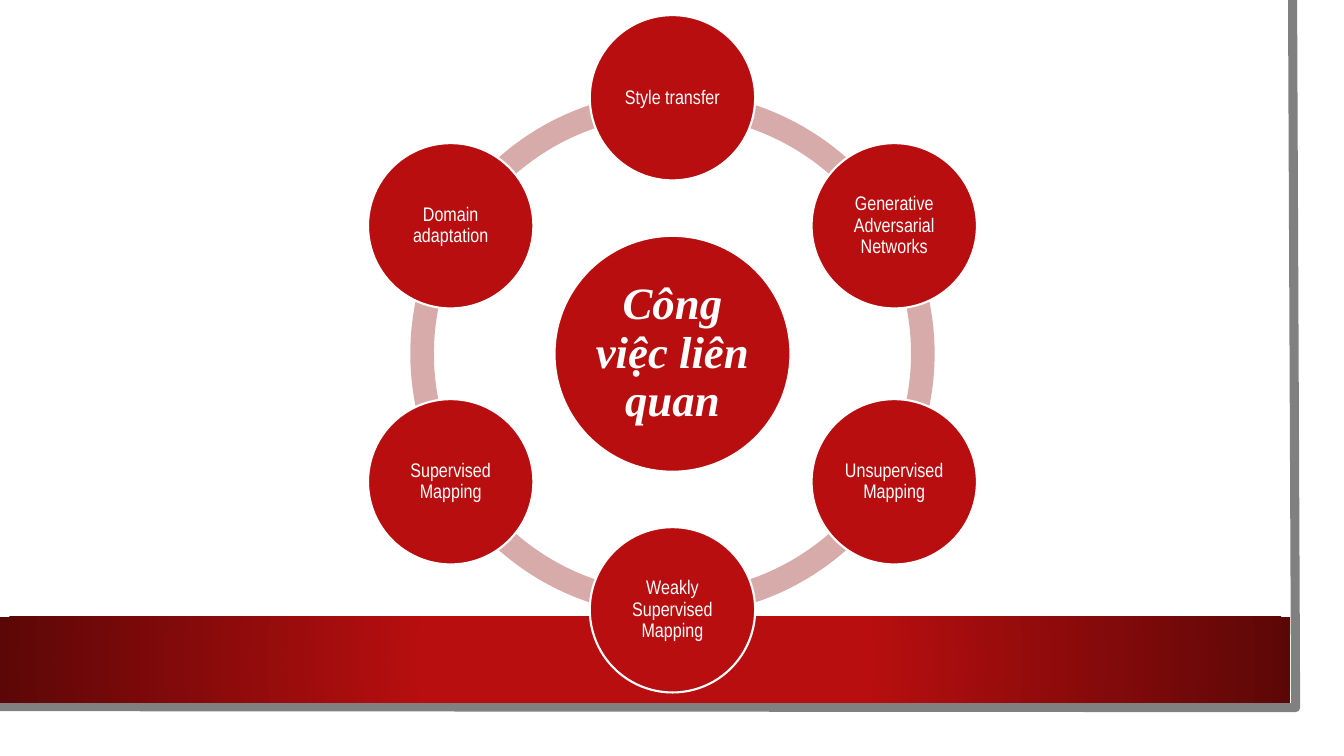
from dataclasses import dataclass
from math import cos, radians, sin

from lxml.etree import SubElement
from pptx import Presentation
from pptx.dml.color import RGBColor as RGB
from pptx.enum.shapes import MSO_SHAPE as Preset
from pptx.enum.text import MSO_ANCHOR as Anchor, MSO_AUTO_SIZE as AutoSize, PP_ALIGN as Align
from pptx.oxml.ns import qn
from pptx.util import Inches, Pt


@dataclass(frozen=True)
class Theme:
    """Colours, fonts and type sizes of the slide."""
    red: RGB = RGB(0xB8, 0x0E, 0x0F)
    dark_red: RGB = RGB(0x5C, 0x07, 0x07)
    pink: RGB = RGB(0xD8, 0xAB, 0xAB)
    grey: RGB = RGB(0x80, 0x80, 0x80)
    white: RGB = RGB(0xFF, 0xFF, 0xFF)
    title_font: str = "Times New Roman"
    label_font: str = "Arial Narrow"
    title_size: int = 32
    label_size: int = 14


class Painter:
    """Draws styled elements on one slide."""

    def __init__(self, page, theme):
        self.page = page
        self.theme = theme

    def shape(self, preset, left, top, width, height):
        box = self.page.shapes.add_shape(
            preset, Inches(left), Inches(top), Inches(width), Inches(height))
        box.shadow.inherit = False
        box.line.fill.background()
        return box

    def band(self, left, top, width, height):
        box = self.shape(Preset.RECTANGLE, left, top, width, height)
        box.fill.gradient()
        inner, outer = box.fill.gradient_stops
        inner.color.rgb, inner.position = self.theme.red, 0.34
        outer.color.rgb, outer.position = self.theme.dark_red, 1.0
        gradient = box.element.spPr.find(qn("a:gradFill"))
        gradient.remove(gradient.find(qn("a:lin")))
        focus = SubElement(gradient, qn("a:path"), path="circle")
        SubElement(focus, qn("a:fillToRect"),
                   {side: "50000" for side in ("l", "t", "r", "b")})

    def frame(self, *corners):
        points = [(Inches(x), Inches(y)) for x, y in corners]
        builder = self.page.shapes.build_freeform(*points[0])
        builder.add_line_segments(points[1:], close=False)
        edge = builder.convert_to_shape()
        edge.shadow.inherit = False
        edge.fill.background()
        edge.line.color.rgb = self.theme.grey
        edge.line.width = Pt(6.5)

    def arc(self, center_x, center_y, radius, start, sweep):
        box = self.shape(Preset.BLOCK_ARC, center_x - radius, center_y - radius,
                         2 * radius, 2 * radius)
        box.adjustments[0] = start % 360 * 0.6
        box.adjustments[1] = (start + sweep) % 360 * 0.6
        box.adjustments[2] = 0.045
        box.fill.solid()
        box.fill.fore_color.rgb = self.theme.pink

    def circle(self, center_x, center_y, radius):
        box = self.shape(Preset.OVAL, center_x - radius, center_y - radius,
                         2 * radius, 2 * radius)
        box.fill.solid()
        box.fill.fore_color.rgb = self.theme.red
        box.line.color.rgb = self.theme.white
        box.line.width = Pt(1.5)
        return box

    def label(self, box, text, font, size, inset, emphasis=False):
        frame = box.text_frame
        frame.text = text
        frame.word_wrap = True
        frame.auto_size = AutoSize.NONE
        frame.vertical_anchor = Anchor.MIDDLE
        frame.margin_left = frame.margin_right = Inches(inset)
        frame.margin_top = frame.margin_bottom = Inches(inset)
        para = frame.paragraphs[0]
        para.alignment = Align.CENTER
        para.line_spacing = 0.9
        para.font.name = font
        para.font.size = Pt(size)
        para.font.bold = para.font.italic = emphasis
        para.font.color.rgb = self.theme.white

    def node(self, center_x, center_y, radius, text):
        box = self.circle(center_x, center_y, radius)
        self.label(box, text, self.theme.label_font, self.theme.label_size, 0.02)

    def hub(self, center_x, center_y, radius, text):
        self.circle(center_x, center_y, radius)
        title = self.page.shapes.title
        side = 1.65
        title.left, title.top = Inches(center_x - side / 2), Inches(center_y - side / 2)
        title.width = title.height = Inches(side)
        self.label(title, text, self.theme.title_font, self.theme.title_size, 0.04, True)
        title.element.getparent().append(title.element)


def main():
    deck = Presentation()
    deck.slide_width, deck.slide_height = Inches(13.33), Inches(7.5)
    painter = Painter(deck.slides.add_slide(deck.slide_layouts[5]), Theme())

    painter.frame((12.82, 0), (12.85, 7.02), (-0.03, 7.01))
    painter.band(0, 6.12, 12.8, 0.85)

    center_x, center_y, orbit = 6.67, 3.51, 2.54
    topics = ["Style transfer", "Generative Adversarial Networks",
              "Unsupervised Mapping", "Weakly Supervised Mapping",
              "Supervised Mapping", "Domain adaptation"]
    step = 360 / len(topics)
    angles = [index * step - 90 for index in range(len(topics))]
    for angle in angles:
        painter.arc(center_x, center_y, 2.6, angle, step)
    painter.hub(center_x, center_y, 1.17, "Công việc liên quan")
    for angle, topic in zip(angles, topics):
        painter.node(center_x + orbit * cos(radians(angle)),
                     center_y + orbit * sin(radians(angle)), 0.82, topic)

    deck.save("out.pptx")


if __name__ == "__main__":
    main()
